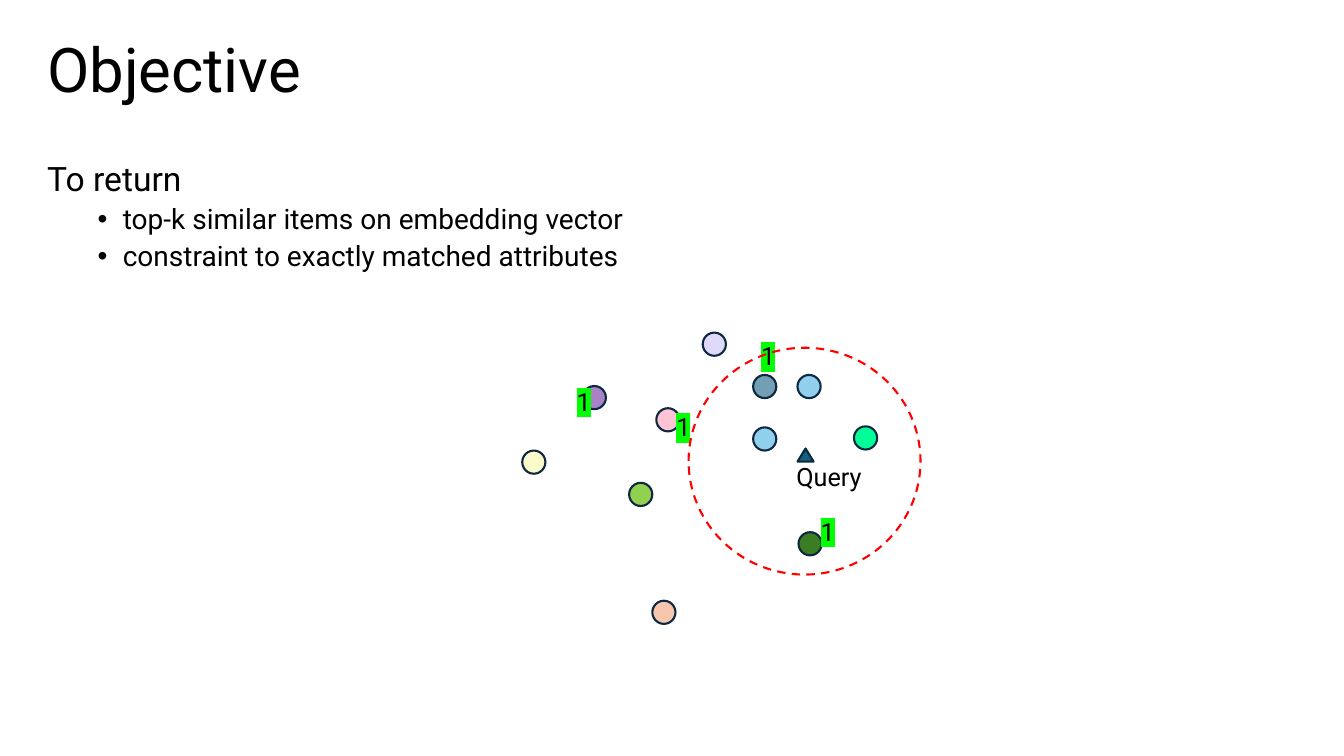
from lxml import etree
from pptx import Presentation
from pptx.dml.color import RGBColor
from pptx.enum.dml import MSO_LINE
from pptx.enum.shapes import MSO_SHAPE
from pptx.enum.text import MSO_ANCHOR
from pptx.oxml.ns import qn
from pptx.util import Inches, Pt

FONT = "Roboto"
BLACK, NAVY, GREEN, RED = "000000", "0E2841", "00FF00", "FF0000"
ELLIPSE, TRIANGLE = MSO_SHAPE.OVAL, MSO_SHAPE.ISOSCELES_TRIANGLE
DASH = MSO_LINE.DASH
TOP, MIDDLE = MSO_ANCHOR.TOP, MSO_ANCHOR.MIDDLE
DOT_SIZE = 0.23

# Left and top within the plot, colour, opacity in percent
ITEMS = [
    (1.47, 2.96, "F6C6AD", 100), (1.97, 0.30, "CAC1F6", 60),
    (0.18, 1.47, "F5F9A8", 60), (1.51, 1.05, "FF9CBC", 60),
    (0.78, 0.83, "7030A0", 60), (3.47, 1.23, "00FF99", 100),
    (1.24, 1.79, "92D050", 100), (2.92, 2.28, "3B7D23", 100),
    (2.47, 0.72, "156082", 60), (2.47, 1.24, "46B1E1", 60),
    (2.91, 0.72, "46B1E1", 60),
]
MATCH_MARKS = [(3.04, 2.07), (0.62, 0.78), (2.45, 0.33), (1.61, 1.03)]


def color(value):
    return RGBColor.from_string(value)


def add_text_box(slide, left, top, width, height, anchor=TOP, wrap=True):
    shape = slide.shapes.add_textbox(*map(Inches, (left, top, width, height)))
    frame = shape.text_frame
    frame.word_wrap = wrap
    frame.vertical_anchor = anchor
    return frame


def write(paragraph, text, size=18, line_spacing=None, space_before=None,
          bullet=False, highlight=None):
    if bullet:
        properties = paragraph._p.get_or_add_pPr()
        properties.set("marL", str(Inches(0.75)))
        properties.set("indent", str(Inches(-0.25)))
        etree.SubElement(properties, qn("a:buFont")).set("typeface", "Arial")
        etree.SubElement(properties, qn("a:buChar")).set("char", "•")
    if line_spacing:
        paragraph.line_spacing = line_spacing
    if space_before:
        paragraph.space_before = Pt(space_before)
    run = paragraph.add_run()
    run.text = text
    run.font.name = FONT
    run.font.size = Pt(size)
    run.font.color.rgb = color(BLACK)
    if highlight:
        mark = etree.Element(qn("a:highlight"))
        etree.SubElement(mark, qn("a:srgbClr")).set("val", highlight)
        run._r.rPr.find(qn("a:latin")).addprevious(mark)


def add_outlined(slide, kind, left, top, width, height, line, fill=None,
                 opacity=100, dash=None):
    shape = slide.shapes.add_shape(
        kind, *map(Inches, (left, top, width, height)))
    shape.shadow.inherit = False
    shape.line.color.rgb = color(line)
    shape.line.width = Pt(1.5)
    if dash:
        shape.line.dash_style = dash
    if fill is None:
        shape.fill.background()
        return
    shape.fill.solid()
    shape.fill.fore_color.rgb = color(fill)
    if opacity < 100:
        tint = shape._element.spPr.find(qn("a:solidFill")).find(qn("a:srgbClr"))
        etree.SubElement(tint, qn("a:alpha")).set("val", str(opacity * 1000))


def add_title(slide, left, top, width, height):
    frame = add_text_box(slide, left, top, width, height, anchor=MIDDLE)
    write(frame.paragraphs[0], "Objective", size=44, line_spacing=0.9)


def add_goals(slide, left, top, width, height):
    frame = add_text_box(slide, left, top, width, height)
    write(frame.paragraphs[0], "To return", size=24, line_spacing=0.9)
    for goal in ("top-k similar items on embedding vector",
                 "constraint to exactly matched attributes"):
        write(frame.add_paragraph(), goal, size=20, line_spacing=0.9,
              space_before=5, bullet=True)


def add_vector_plot(slide, left, top):
    # Items in the embedding space
    for x, y, fill, opacity in ITEMS:
        add_outlined(slide, ELLIPSE, left + x, top + y, DOT_SIZE, DOT_SIZE,
                     NAVY, fill, opacity)
    # Marks on items with a matched attribute
    for x, y in MATCH_MARKS:
        frame = add_text_box(slide, left + x, top + y, 0.33, 0.4)
        write(frame.paragraphs[0], "1", highlight=GREEN)
    # Query and its neighbourhood
    add_outlined(slide, TRIANGLE, left + 2.91, top + 1.45, 0.16, 0.13,
                 "092A39", "156082")
    frame = add_text_box(slide, left + 2.8, top + 1.53, 0.86, 0.4, wrap=False)
    write(frame.paragraphs[0], "Query")
    add_outlined(slide, ELLIPSE, left + 1.83, top + 0.45, 2.3, 2.25, RED,
                 dash=DASH)


def main():
    presentation = Presentation()
    presentation.slide_width = Inches(13.33)
    presentation.slide_height = Inches(7.5)
    slide = presentation.slides.add_slide(presentation.slide_layouts[6])
    add_title(slide, 0.37, 0.15, 12.44, 1.14)
    add_goals(slide, 0.37, 1.56, 12.44, 5.06)
    add_vector_plot(slide, 5, 3)
    presentation.save("out.pptx")


if __name__ == "__main__":
    main()
